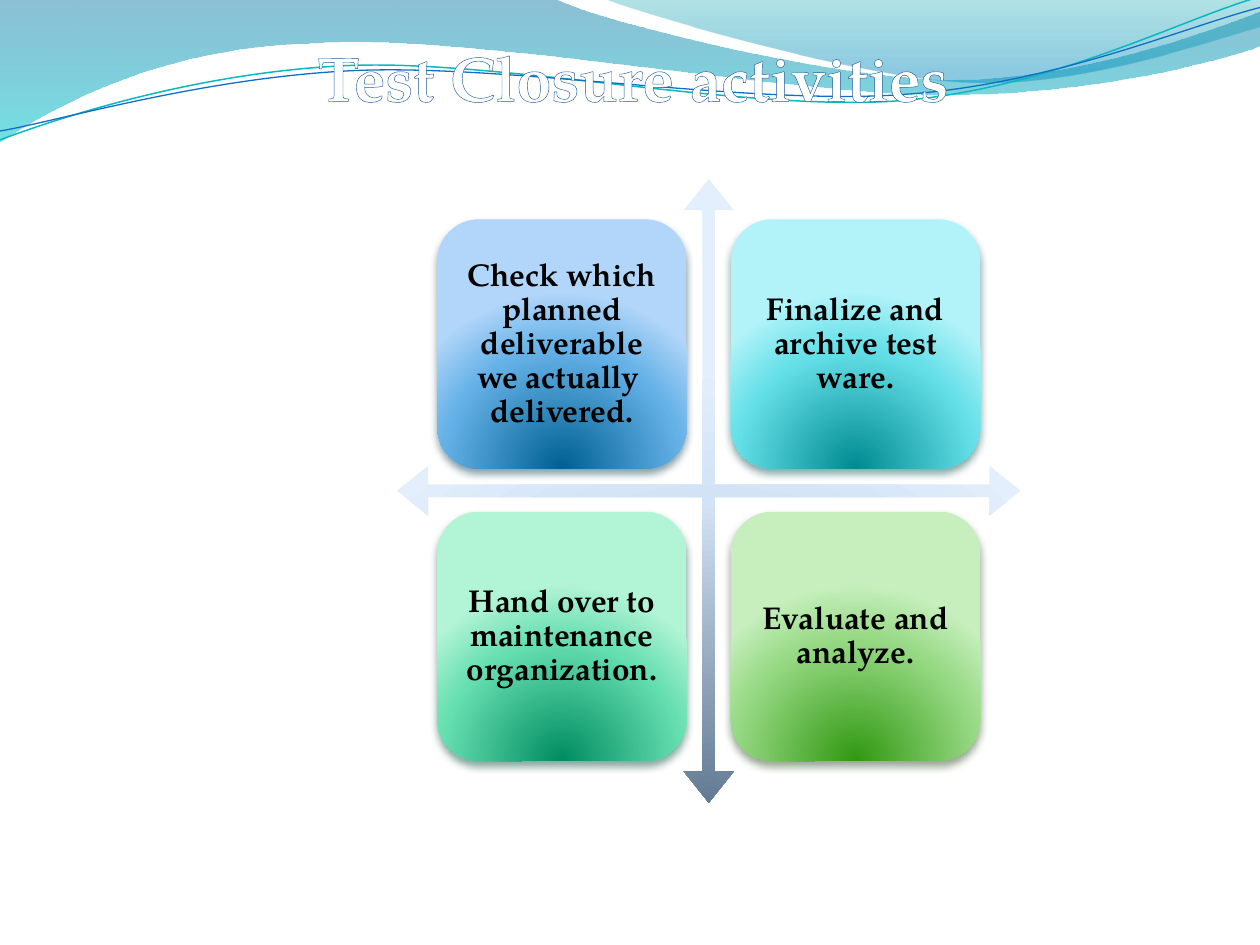
from dataclasses import dataclass
from itertools import product
from math import cos, radians, sin

from lxml import etree
from pptx import Presentation
from pptx.dml.color import RGBColor
from pptx.enum.shapes import MSO_SHAPE as Shape
from pptx.enum.text import MSO_ANCHOR as Anchor, PP_ALIGN as Align
from pptx.oxml.ns import qn
from pptx.slide import Slide
from pptx.util import Inches, Pt

RADIAL = ('<a:path path="circle"><a:fillToRect l="50000" t="130000" '
          'r="50000" b="-30000"/></a:path>')
DOWNWARD = '<a:lin ang="5400000" scaled="0"/>'


def rgb(value):
    """Turn a hex string into a colour."""
    return RGBColor.from_string(value)


def drawing(tag, body="", attributes=""):
    """Build a DrawingML element."""
    namespace = "http://schemas.openxmlformats.org/drawingml/2006/main"
    return etree.fromstring(
        f'<a:{tag} xmlns:a="{namespace}" {attributes}>{body}</a:{tag}>')


def colour(value, opacity=100):
    """Give the markup of a colour with its opacity in percent."""
    return f'<a:srgbClr val="{value}"><a:alpha val="{opacity * 1000}"/></a:srgbClr>'


def gradient_markup(stops, direction):
    """Give the markup of a gradient fill."""
    marks = "".join(f'<a:gs pos="{place * 1000}">{colour(*shade)}</a:gs>'
                    for place, *shade in stops)
    return f'<a:gradFill rotWithShape="1"><a:gsLst>{marks}</a:gsLst>{direction}</a:gradFill>'


def turned(point, centre, degrees):
    """Rotate a point clockwise about a centre."""
    dx, dy = point[0] - centre[0], point[1] - centre[1]
    c, s = cos(radians(degrees)), sin(radians(degrees))
    return centre[0] + dx * c - dy * s, centre[1] + dx * s + dy * c


@dataclass
class Deck:
    """Hold the style and the current slide."""
    slide: Slide
    font: str = "TeX Gyre Pagella"

    def gradient(self, shape, stops, direction):
        """Fill a shape with a gradient and remove its line and shadow."""
        shape.shadow.inherit = False
        shape.line.fill.background()
        shape.fill.background()
        properties = shape.element.spPr
        holder = drawing("ln", gradient_markup(stops, direction))
        properties.replace(properties.find(qn("a:noFill")), holder[0])

    def curve(self, start, segments, close):
        """Draw an outline of straight and cubic segments."""
        corners = [point for segment in segments for point in segment]
        builder = self.slide.shapes.build_freeform(Inches(start[0]), Inches(start[1]))
        builder.add_line_segments([(Inches(x), Inches(y)) for x, y in corners],
                                  close=close)
        outline = builder.convert_to_shape()
        steps = iter(outline.element.findall(".//" + qn("a:lnTo")))
        for segment in segments:
            group = [next(steps) for _ in segment]
            if len(group) == 3:
                bend = drawing("cubicBezTo")
                group[0].addprevious(bend)
                for step in group:
                    bend.append(step[0])
                    step.getparent().remove(step)
        return outline

    def wave(self, start, segments, stops):
        """Draw a filled wave."""
        self.gradient(self.curve(start, segments, True), stops, DOWNWARD)

    def ripple(self, start, segments, line_colour, width, centre, tilt=2.7):
        """Draw a thin curved line, tilted about its centre."""
        level = [[turned(point, centre, tilt) for point in segment]
                 for segment in segments]
        ripple = self.curve(turned(start, centre, tilt), level, False)
        ripple.rotation = 360 - tilt
        ripple.shadow.inherit = False
        ripple.fill.background()
        ripple.line.color.rgb = rgb(line_colour)
        ripple.line.width = Pt(width)

    def title(self, wording, left, top, width, height):
        """Place the outlined title in front of the waves."""
        title = self.slide.shapes.title
        title.element.getparent().append(title.element)
        title.left, title.top = Inches(left), Inches(top)
        title.width, title.height = Inches(width), Inches(height)
        title.text_frame.vertical_anchor = Anchor.MIDDLE
        heading = title.text_frame.paragraphs[0]
        heading.alignment = Align.LEFT
        run = heading.add_run()
        run.text = wording
        run.font.name, run.font.size, run.font.bold = self.font, Pt(36), True
        run.font.color.rgb = rgb("FFFFFF")
        stops = [(0, "6A98F8"), (75, "1F5A9A"), (100, "1F5A9A")]
        title.element.find(".//" + qn("a:rPr")).insert(0, drawing(
            "ln", gradient_markup(stops, DOWNWARD), f'w="{Pt(2.48)}"'))

    def block(self, kind, left, top, size, shades):
        """Draw a square shape with a radial gradient."""
        block = self.slide.shapes.add_shape(
            kind, Inches(left), Inches(top), Inches(size), Inches(size))
        self.gradient(block, list(zip((0, 68, 100), shades)), RADIAL)
        return block

    def axes(self, left, top, size, shades):
        """Draw the crossing arrows."""
        arrows = self.block(Shape.QUAD_ARROW, left, top, size, shades)
        for index, ratio in enumerate((0.02, 0.04, 0.05)):
            arrows.adjustments[index] = ratio

    def card(self, wording, left, top, size, shades, shadow):
        """Draw a rounded card with a soft shadow and centred text."""
        card = self.block(Shape.ROUNDED_RECTANGLE, left, top, size, shades)
        card.element.spPr.find(qn("a:effectLst")).append(drawing(
            "outerShdw", colour(shadow, 48),
            f'blurRad="{Pt(4.5)}" dist="{Pt(3)}" dir="5400000" rotWithShape="0"'))
        frame = card.text_frame
        frame.word_wrap = True
        frame.vertical_anchor = Anchor.MIDDLE
        frame.margin_left = frame.margin_right = Inches(0.07)
        frame.margin_top = frame.margin_bottom = Inches(0.07)
        activity = frame.paragraphs[0]
        activity.text = wording
        activity.alignment = Align.CENTER
        activity.line_spacing = 0.9
        font = activity.font
        font.name, font.size, font.bold = self.font, Pt(18), True
        font.color.rgb = rgb("000000")


def main():
    """Build the slide and save it."""
    presentation = Presentation()
    presentation.slide_width, presentation.slide_height = Inches(10), Inches(7.5)
    deck = Deck(presentation.slides.add_slide(presentation.slide_layouts[5]))

    deck.wave((0, 0), [
        [(4.4, -0.01)],
        [(4.76, 0.17), (6.64, 0.63), (7.58, 0.63)],
        [(8.53, 0.63), (9.58, 0.26), (10, 0.09)],
        [(10.01, 0.36)],
        [(9.83, 0.44), (8.7, 0.76), (7.46, 0.75)],
        [(6.22, 0.75), (3.82, 0.28), (2.57, 0.34)],
        [(1.29, 0.36), (0.46, 0.83), (-0.01, 1.13)],
    ], [(0, "0074A1", 45), (100, "00C6CF", 55)])
    deck.wave((4.79, -0.01), [
        [(5.09, 0.11), (6.82, 0.62), (7.69, 0.65)],
        [(8.56, 0.69), (9.61, 0.32), (10, 0.21)],
        [(10, 0)],
    ], [(0, "00A1A9", 30), (80, "008BBF", 45)])
    deck.ripple((0, 1.11), [
        [(0.48, 0.93), (1.58, 0.57), (2.77, 0.52)],
        [(3.95, 0.47), (5.93, 0.89), (7.13, 0.8)],
        [(8.33, 0.71), (9.38, 0.15), (9.98, -0.02)],
    ], "0AB8BF", 0.85, (4.99, 0.58))
    deck.ripple((0, 1.04), [
        [(0.47, 0.96), (1.64, 0.61), (2.83, 0.56)],
        [(4.03, 0.51), (5.97, 0.84), (7.17, 0.75)],
        [(8.36, 0.67), (9.41, 0.21), (10, 0.06)],
    ], "0F6FC6", 0.75, (5, 0.59))

    deck.title("Test Closure activities", 2.42, 0.25, 5.59, 0.71)
    deck.axes(3.15, 1.42, 4.95, ("627A93", "D2E3F5", "E3EFFC"))
    activities = [
        ("Check which planned deliverable we actually  delivered.",
         ("006091", "64B1E7", "B1D6F9"), "00374C"),
        ("Finalize and archive test ware.",
         ("008A91", "64DFE7", "B1F3F9"), "024B4E"),
        ("Hand over to maintenance organization.",
         ("008C60", "65DEB0", "B2F4D6"), "044A37"),
        ("Evaluate and analyze.",
         ("319811", "95D882", "C6EFBD"), "2B4821"),
    ]
    places = product((1.74, 4.06), (3.47, 5.8))
    for (top, left), (wording, shades, shadow) in zip(places, activities):
        deck.card(wording, left, top, 1.98, shades, shadow)
    presentation.save("out.pptx")


if __name__ == "__main__":
    main()
